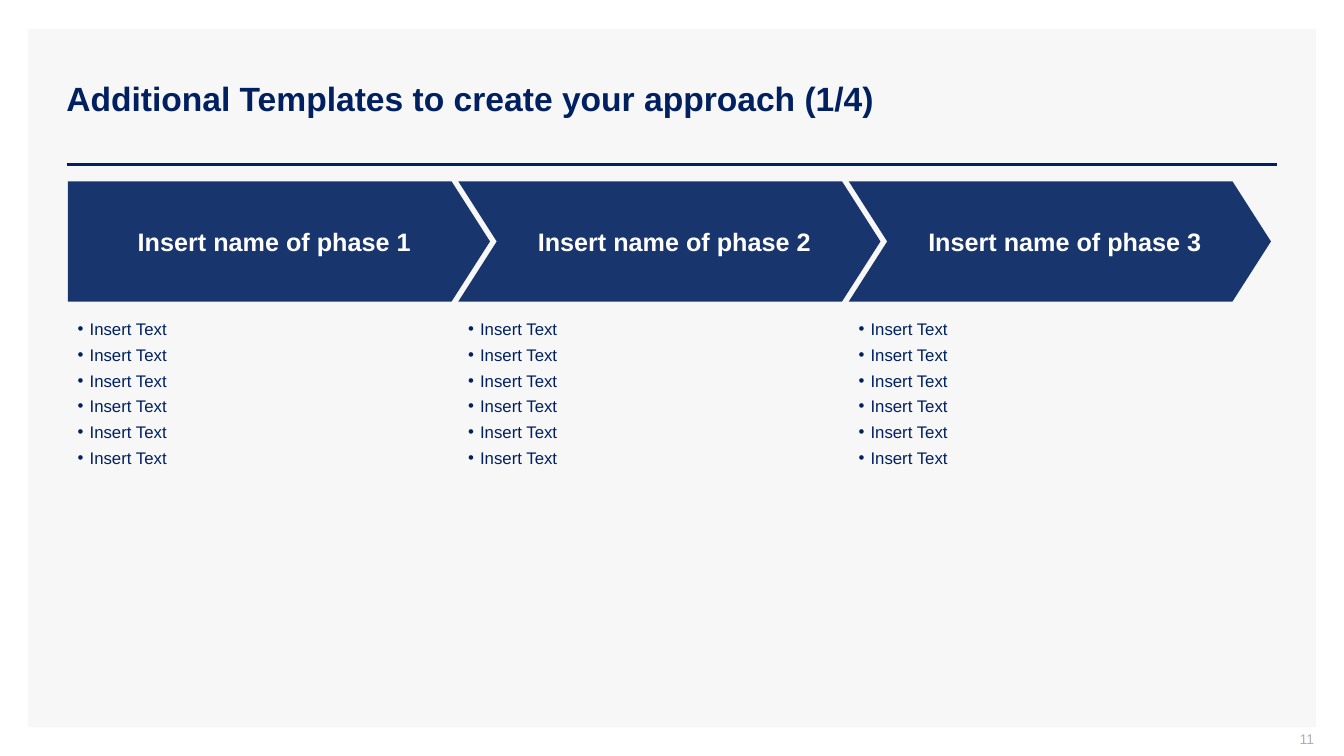
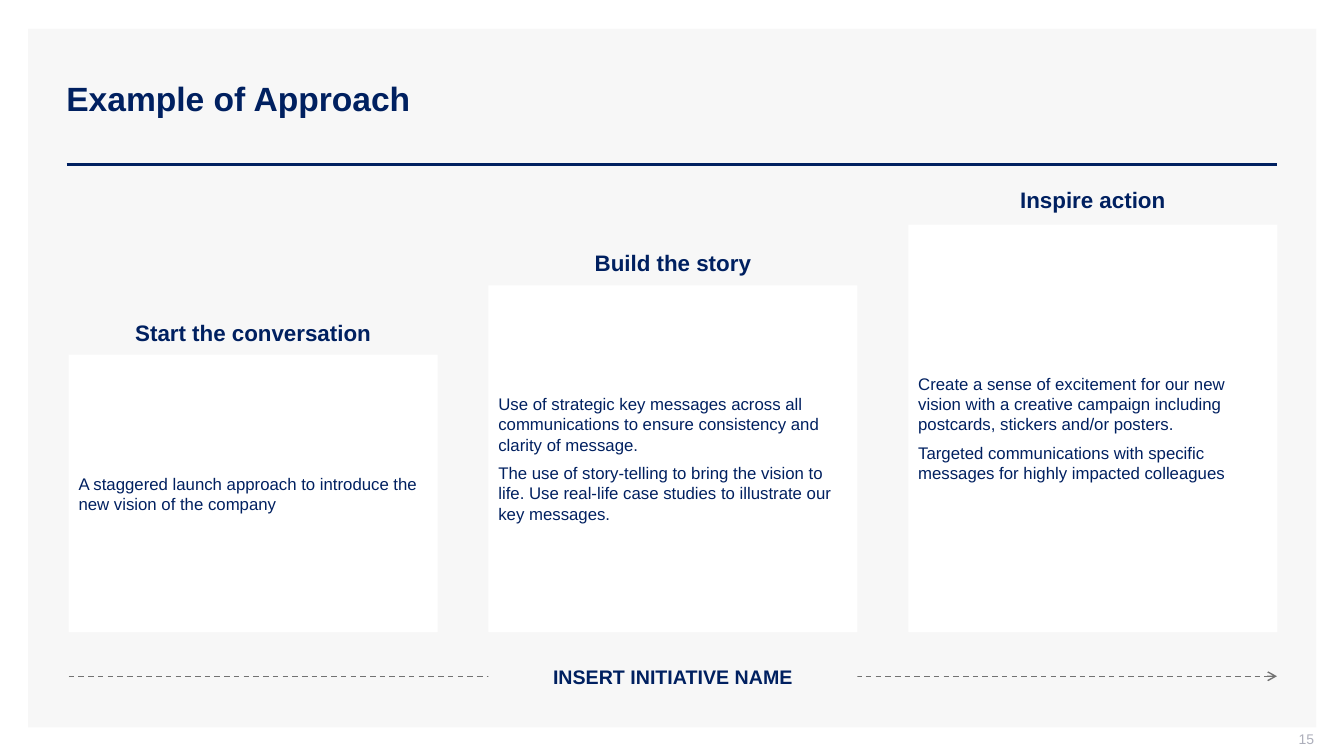
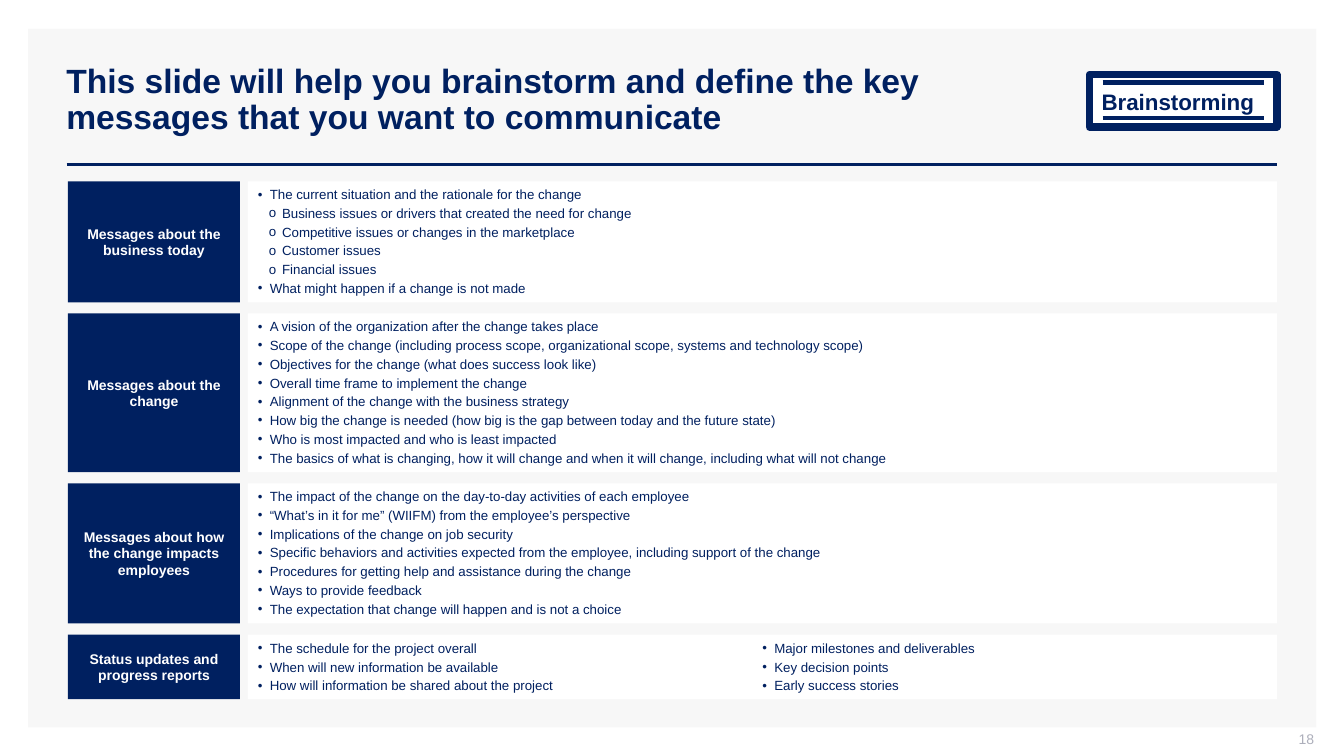
"""Builds three slides on planning a change: phases, approach and key messages."""
import copy
import pptx
import pptx.dml.color
import pptx.enum.dml
import pptx.enum.shapes
import pptx.enum.text
import pptx.oxml.ns
import pptx.oxml.xmlchemy
import pptx.util

Cm, Pt = pptx.util.Cm, pptx.util.Pt
KIND = pptx.enum.shapes.MSO_SHAPE
ALIGN = pptx.enum.text.PP_ALIGN
ANCHOR = pptx.enum.text.MSO_ANCHOR
qn = pptx.oxml.ns.qn

NAVY, PALE, WHITE, GREY, MUTED = "002060", "F7F7F7", "FFFFFF", "727272", "ADAFBB"
FONT = "Arial"
LEFT, RIGHT, TOP = 1.71, 32.18, 4.57
BULLETS = {"•": (0, 0.3, -0.3), "o": (1, 0.61, -0.33)}

PHASES = {
    "title": "Additional Templates to create your approach (1/4)",
    "page": "11",
    "names": ["Insert name of phase 1", "Insert name of phase 2", "Insert name of phase 3"],
    "notes": ["Insert Text"] * 6,
}

STEPS = {
    "title": "Example of Approach",
    "page": "15",
    "label": "INSERT INITIATIVE NAME",
    "cards": [
        ("Start the conversation", 7.9, 8.94, [
            "A staggered launch approach to introduce the new vision of the company"]),
        ("Build the story", 6.15, 7.19, [
            "Use of strategic key messages across all communications to ensure consistency and clarity of message.",
            "The use of story-telling to bring the vision to life. Use real-life case studies to illustrate our key messages."]),
        ("Inspire action", 4.57, 5.66, [
            "Create a sense of excitement for our new vision with a creative campaign including postcards, stickers and/or posters.",
            "Targeted communications with specific messages for highly impacted colleagues"]),
    ],
}

TOPICS = {
    "title": "This slide will help you brainstorm and define the key\nmessages that you want to communicate",
    "page": "18",
    "badge": "Brainstorming",
    "rows": [
        ("Messages about the business today", 3.05, 1, [
            "The current situation and the rationale for the change",
            ("o", "Business issues or drivers that created the need for change"),
            ("o", "Competitive issues or changes in the marketplace"),
            ("o", "Customer issues"),
            ("o", "Financial issues"),
            "What might happen if a change is not made"]),
        ("Messages about the change", 4, 1, [
            "A vision of the organization after the change takes place",
            "Scope of the change (including process scope, organizational scope, systems and technology scope)",
            "Objectives for the change (what does success look like)",
            "Overall time frame to implement the change",
            "Alignment of the change with the business strategy",
            "How big the change is needed (how big is the gap between today and the future state)",
            "Who is most impacted and who is least impacted",
            "The basics of what is changing, how it will change and when it will change, including what will not change"]),
        ("Messages about how the change impacts employees", 3.53, 1, [
            "The impact of the change on the day-to-day activities of each employee",
            "“What’s in it for me” (WIIFM) from the employee’s perspective",
            "Implications of the change on job security",
            "Specific behaviors and activities expected from the employee, including support of the change",
            "Procedures for getting help and assistance during the change",
            "Ways to provide feedback",
            "The expectation that change will happen and is not a choice"]),
        ("Status updates and progress reports", 1.63, 2, [
            "The schedule for the project overall",
            "When will new information be available",
            "How will information be shared about the project",
            "Major milestones and deliverables",
            "Key decision points",
            "Early success stories"]),
    ],
}


def rgb(code):
    return pptx.dml.color.RGBColor.from_string(code)


def add(parent, tag, **attrs):
    node = parent.makeelement(qn(tag), attrs)
    parent.append(node)
    return node


def write(shape, lines, size=12, color=NAVY, bold=False, align=ALIGN.LEFT,
          anchor=ANCHOR.TOP, inset=(0.25, 0.13, 0.25, 0.13), before=0, after=0,
          pitch=None, bullet=False, cols=1):
    frame = shape.text_frame
    frame.word_wrap = True
    frame.auto_size = pptx.enum.text.MSO_AUTO_SIZE.NONE
    frame.vertical_anchor = anchor
    (frame.margin_left, frame.margin_top,
     frame.margin_right, frame.margin_bottom) = map(Cm, inset)
    if cols > 1:
        frame._txBody.bodyPr.set("numCol", str(cols))
    for i, line in enumerate(lines):
        mark, text = line if isinstance(line, tuple) else ("•", line)
        para = frame.add_paragraph() if i else frame.paragraphs[0]
        para.text = text
        para.alignment = align
        para.space_before = Pt(before if i else 0)
        para.space_after = Pt(after)
        if pitch:
            para.line_spacing = pitch
        if bullet:
            level, indent, hang = BULLETS[mark]
            para.level = level
            props = para._p.get_or_add_pPr()
            props.set("marL", str(Cm(indent)))
            props.set("indent", str(Cm(hang)))
            add(props, "a:buFont", typeface=FONT)
            add(props, "a:buChar", char=mark)
        for run in para.runs:
            run.font.name, run.font.size, run.font.bold = FONT, Pt(size), bold
            run.font.color.rgb = rgb(color)
        for brk in para._p.findall(qn("a:br")):
            brk.append(copy.deepcopy(para.runs[0]._r.rPr))


def block(shapes, kind, box, fill, line=None, width=0, alpha=None):
    shape = shapes.add_shape(kind, *map(Cm, box))
    shape.shadow.inherit = False
    shape.fill.solid()
    shape.fill.fore_color.rgb = rgb(fill)
    if alpha:
        tone = shape._element.spPr.find(qn("a:solidFill"))[0]
        add(tone, "a:alpha", val=str(alpha * 1000))
    if line:
        shape.line.color.rgb = rgb(line)
        shape.line.width = Pt(width)
    else:
        shape.line.fill.background()
    return shape


def rule(shapes, start, end, y, color, width, arrow=False):
    line = shapes.add_connector(pptx.enum.shapes.MSO_CONNECTOR.STRAIGHT,
                                Cm(start), Cm(y), Cm(end), Cm(y))
    line.line.color.rgb = rgb(color)
    line.line.width = Pt(width)
    if arrow:
        line.line.dash_style = pptx.enum.dml.MSO_LINE.DASH
        add(line.line._get_or_add_ln(), "a:tailEnd", type="arrow")
    add(line._element.spPr, "a:effectLst")
    return line


def label(shapes, box, lines, **style):
    write(shapes.add_textbox(*map(Cm, box)), lines, **style)


def dress(slide):
    """Moves the shared band and rule to the layout of the slide."""
    parts = [block(slide.shapes, KIND.RECTANGLE, (0.71, 0.73, 32.46, 17.6), PALE),
             rule(slide.shapes, 1.68, RIGHT, 4.14, NAVY, 2)]
    for i, part in enumerate(parts):
        slide.slide_layout.shapes._spTree.insert(2 + i, part._element)


def start(deck, data):
    slide = deck.slides.add_slide(deck.slide_layouts[5])
    if len(deck.slides) == 1:
        dress(slide)
    title = slide.shapes.title
    title.left, title.top, title.width, title.height = map(Cm, (1.42, 1.02, 30.76, 3.02))
    write(title, [data["title"]], size=24, bold=True, anchor=ANCHOR.MIDDLE, pitch=0.9)
    label(slide.shapes, (25.5, 18.41, 7.62, 0.53), [data["page"]], size=10, color=MUTED,
          align=ALIGN.RIGHT, anchor=ANCHOR.MIDDLE, inset=(0.25, 0, 0, 0.13))
    return slide.shapes


def phases(deck, data):
    shapes = start(deck, data)
    for i, name in enumerate(data["names"]):
        x = LEFT + i * 9.84
        kind = KIND.CHEVRON if i else KIND.PENTAGON
        arrow = block(shapes, kind, (x, TOP, 10.64, 3.03), NAVY, alpha=90)
        arrow.adjustments[0] = 0.32
        write(arrow, [name], size=18, color=WHITE, bold=True, align=ALIGN.CENTER,
              anchor=ANCHOR.MIDDLE, inset=(0.25, 0.13, 0, 0.13))
        label(shapes, (x, 7.9, 9.45, 4.04), data["notes"], before=2, after=2, bullet=True)


def steps(deck, data):
    shapes = start(deck, data)
    left, pitch, width, base = 1.73, 10.58, 9.3, 15.93
    rule(shapes, left, RIGHT, 17.04, GREY, 1, arrow=True)
    plate = block(shapes, KIND.RECTANGLE, (left + pitch, 16.61, width, 0.86), PALE)
    write(plate, [data["label"]], size=14, bold=True, align=ALIGN.CENTER,
          anchor=ANCHOR.MIDDLE)
    for i, (head, high, top, lines) in enumerate(data["cards"]):
        x = left + i * pitch
        label(shapes, (x, high, width, 0.94), [head], size=16, bold=True,
              align=ALIGN.CENTER)
        card = block(shapes, KIND.RECTANGLE, (x, top, width, base - top), WHITE)
        write(card, lines, after=6, anchor=ANCHOR.MIDDLE)


def topics(deck, data):
    shapes = start(deck, data)
    badge = shapes.add_group_shape().shapes
    block(badge, KIND.RECTANGLE, (27.46, 1.88, 4.72, 1.32), WHITE, line=NAVY, width=5.5)
    label(badge, (27.76, 2.21, 4.11, 0.69), [data["badge"]], size=16, bold=True,
          anchor=ANCHOR.MIDDLE, inset=(0, 0, 0, 0))
    for y in (2.08, 2.97):
        rule(badge, 27.79, 31.85, y, NAVY, 3)
    y = TOP
    for name, height, cols, lines in data["rows"]:
        head = block(shapes, KIND.RECTANGLE, (LEFT, y, 4.34, height), NAVY)
        write(head, [name], size=10, color=WHITE, bold=True, align=ALIGN.CENTER,
              anchor=ANCHOR.MIDDLE)
        body = block(shapes, KIND.RECTANGLE, (6.25, y, RIGHT - 6.25, height), WHITE)
        write(body, lines, size=9.5, before=1, after=1, bullet=True, cols=cols,
              anchor=ANCHOR.MIDDLE if cols > 1 else ANCHOR.TOP)
        y += height + 0.28


def main():
    deck = pptx.Presentation()
    deck.slide_width, deck.slide_height = Cm(33.87), Cm(19.05)
    phases(deck, PHASES)
    steps(deck, STEPS)
    topics(deck, TOPICS)
    deck.save("out.pptx")


if __name__ == "__main__":
    main()
